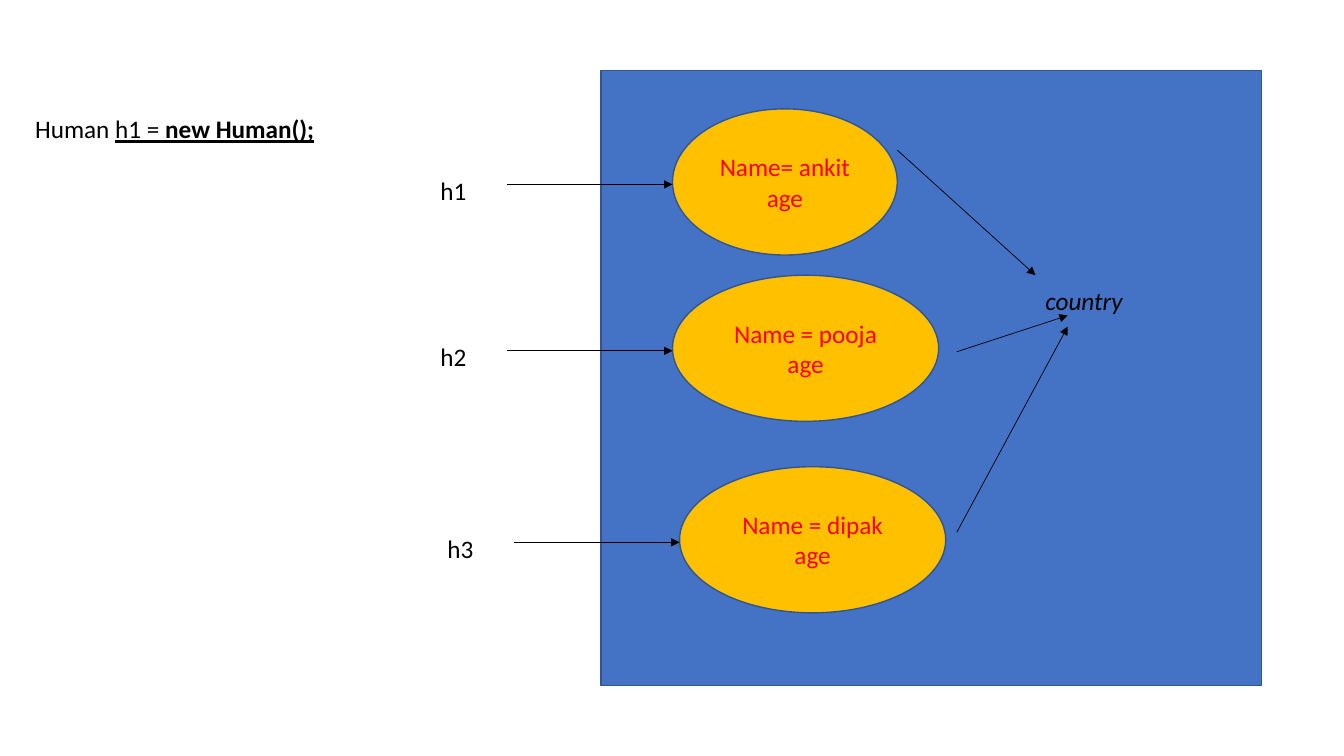
import dataclasses
import pptx
import pptx.util
import pptx.dml.color
import pptx.enum.shapes
import pptx.enum.text
import pptx.oxml
import pptx.oxml.ns

Inches = pptx.util.Inches
Pt = pptx.util.Pt
Shapes = pptx.enum.shapes.MSO_SHAPE
Align = pptx.enum.text.PP_ALIGN


def rgb(value):
    return pptx.dml.color.RGBColor.from_string(value)


@dataclasses.dataclass(frozen=True)
class Theme:
    heap = rgb("4472C4")
    outline = rgb("325491")
    instance = rgb("FFC000")
    field = rgb("FF0000")
    ink = rgb("000000")
    font = "Calibri"
    size = Pt(18)
    outline_width = Pt(1)
    arrow_width = Pt(0.5)


THEME = Theme()


def style_span(span, color):
    span.font.name = THEME.font
    span.font.size = THEME.size
    span.font.color.rgb = color


def add_filled(page, kind, box, fill):
    shape = page.shapes.add_shape(kind, *map(Inches, box))
    shape.shadow.inherit = False
    shape.fill.solid()
    shape.fill.fore_color.rgb = fill
    shape.line.color.rgb = THEME.outline
    shape.line.width = THEME.outline_width
    return shape


def add_label(page, box, *texts):
    frame = page.shapes.add_textbox(*map(Inches, box)).text_frame
    frame.word_wrap = True
    frame.auto_size = pptx.enum.text.MSO_AUTO_SIZE.SHAPE_TO_FIT_TEXT
    spans = []
    for text in texts:
        span = frame.paragraphs[0].add_run()
        span.text = text
        style_span(span, THEME.ink)
        spans.append(span)
    return spans


def add_arrow(page, start, end):
    arrow = page.shapes.add_connector(
        pptx.enum.shapes.MSO_CONNECTOR.STRAIGHT, *map(Inches, (*start, *end)))
    arrow.line.color.rgb = THEME.ink
    arrow.line.width = THEME.arrow_width
    head = pptx.oxml.parse_xml(
        f'<a:tailEnd {pptx.oxml.ns.nsdecls("a")} type="triangle"/>')
    arrow.line._get_or_add_ln().append(head)
    arrow._element.spPr.append(
        pptx.oxml.parse_xml(f'<a:effectLst {pptx.oxml.ns.nsdecls("a")}/>'))


def add_statement(page, box):
    declared, variable, creation = add_label(
        page, box, "Human ", "h1 = ", "new Human();")
    variable.font.underline = creation.font.underline = True
    creation.font.bold = True


def add_instance(page, box, reference, name):
    left, top, width, height = box
    ellipse = add_filled(page, Shapes.OVAL, box, THEME.instance)
    frame = ellipse.text_frame
    frame.text = f"{name}\nage"
    frame.vertical_anchor = pptx.enum.text.MSO_ANCHOR.MIDDLE
    for para in frame.paragraphs:
        para.alignment = Align.CENTER
        for span in para.runs:
            style_span(span, THEME.field)
    arrow_y = top + 0.75
    add_arrow(page, (left - 1.64, arrow_y), (left, arrow_y))
    add_label(page, (left - 2.4, top + 0.61, 0.83, 0.4), reference)


def add_shared_field(page, box, links):
    left, top, width, height = box
    (span,) = add_label(page, box, "country")
    span.font.italic = True
    for start, (across, down) in links:
        add_arrow(page, start, (left + across, top + down))


def build_slide(deck):
    page = deck.slides.add_slide(deck.slide_layouts[6])
    add_filled(page, Shapes.RECTANGLE, (5.96, 0.7, 6.55, 6.1), THEME.heap)
    add_statement(page, (0.25, 1.08, 3.38, 0.4))
    instances = [
        ((6.67, 1.08, 2.23, 1.45), "h1", "Name= ankit"),
        ((6.67, 2.73, 2.64, 1.45), "h2", "Name = pooja"),
        ((6.74, 4.63, 2.64, 1.45), "h3", "Name = dipak"),
    ]
    for box, reference, name in instances:
        add_instance(page, box, reference, name)
    add_shared_field(page, (10.27, 2.78, 1.36, 0.4), [
        ((8.9, 1.49), (0, -0.05)),
        ((9.49, 3.49), (0.32, 0.35)),
        ((9.49, 5.28), (0.32, 0.46)),
    ])


deck = pptx.Presentation()
deck.slide_width = Inches(13.33)
deck.slide_height = Inches(7.5)
build_slide(deck)
deck.save("out.pptx")
